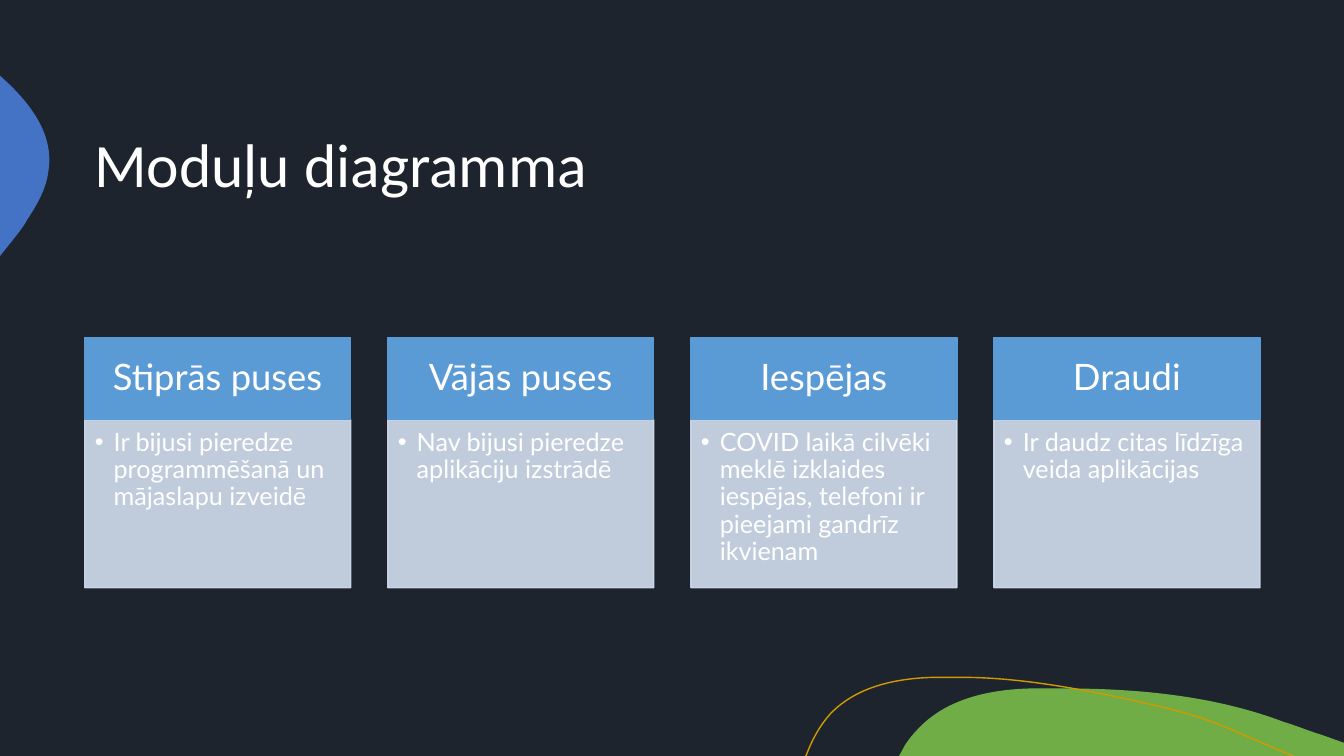
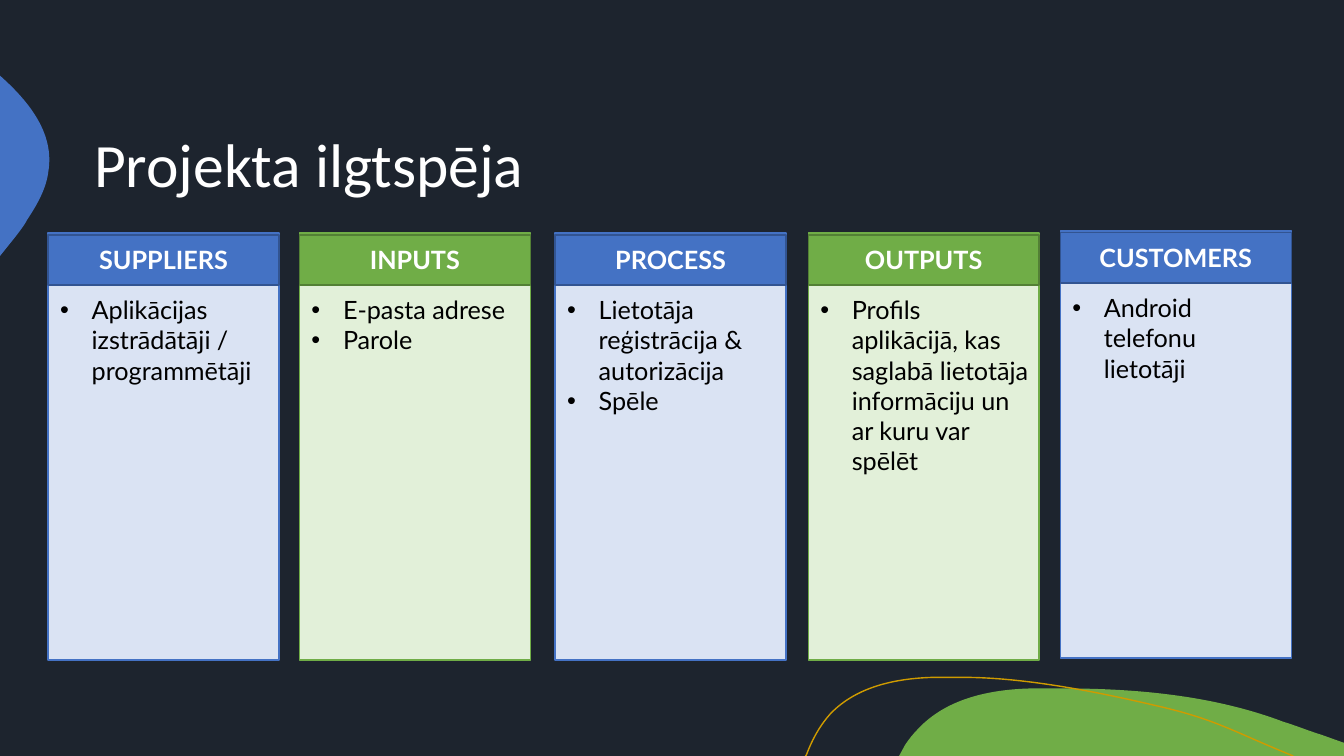
"""Build two dark slides: a strengths and weaknesses grid and a process board."""
import dataclasses
from typing import Optional

import lxml.etree
import pptx
import pptx.dml.color
import pptx.enum.shapes
import pptx.enum.text
import pptx.oxml.ns
import pptx.util

Align = pptx.enum.text.PP_ALIGN
Anchor = pptx.enum.text.MSO_ANCHOR
Point = tuple[float, float]
Sides = tuple[float, float, float, float]
COLUMNS, ROWS = 160, 90
MODULE = pptx.util.Inches(13.333) // COLUMNS


@dataclasses.dataclass(frozen=True)
class Theme:
    """Colours, fonts and type sizes of the deck."""
    night: str = "1D242E"
    white: str = "FFFFFF"
    black: str = "000000"
    gold: str = "CF9B00"
    blue: str = "4472C4"
    blue_edge: str = "325491"
    blue_tint: str = "DAE3F3"
    green: str = "70AD47"
    green_edge: str = "538035"
    green_tint: str = "E2F0D9"
    sky: str = "5B9BD5"
    sky_tint: str = "D2DEEF"
    title_font: str = "Calibri"
    text_font: str = "Lato"
    title_size: int = 44
    heading_size: int = 26
    text_size: int = 18
    line_width: int = 1


THEME = Theme()
SNUG = (1.2, 0.6, 1.2, 0.6)


@dataclasses.dataclass(frozen=True)
class TextStyle:
    """Type and paragraph settings, with insets and indent in grid modules."""
    size: int
    color: str
    insets: Sides = SNUG
    font: str = THEME.text_font
    bold: bool = False
    align: Align = Align.LEFT
    anchor: Anchor = Anchor.TOP
    spacing: float = 1.0
    indent: float = 0
    grow: bool = False


@dataclasses.dataclass(frozen=True)
class Palette:
    """Colours of a column's heading and body."""
    heading: str
    heading_edge: str
    body: str
    body_edge: str
    body_opacity: int = 100


@dataclasses.dataclass(frozen=True)
class Column:
    """One headed list, with its shift from the even grid."""
    heading: str
    items: tuple[str, ...]
    palette: Palette
    shift: Point = (0, 0)
    text_rows: float = 20


@dataclasses.dataclass(frozen=True)
class Board:
    """Row of columns in grid modules, with text margins around each part."""
    left: float
    right: float
    column_width: float
    heading_top: float
    heading_rows: float
    body_top: float
    body_rows: float
    heading_style: TextStyle
    body_style: TextStyle
    heading_margin: Point = (0, 0)
    body_margin: Point = (0, 0)


@dataclasses.dataclass(frozen=True)
class Wave:
    """Outline whose segments hold one point for a line and three for a curve."""
    start: Point
    segments: tuple[tuple[Point, ...], ...]
    fill: Optional[str] = None
    line: Optional[str] = None


TITLE_STYLE = TextStyle(THEME.title_size, THEME.white, font=THEME.title_font,
                        anchor=Anchor.MIDDLE, spacing=0.9)

SWOT_BOARD = Board(
    10.08, 150, 31.68, 40.2, 9.76, 49.96, 20,
    TextStyle(THEME.heading_size, THEME.white, (2.4, 1.44, 2.4, 1.44),
              align=Align.CENTER, anchor=Anchor.MIDDLE, spacing=0.9),
    TextStyle(THEME.text_size, THEME.white, (1.2, 1.2, 1.68, 1.92),
              spacing=0.9, indent=2.25))

SIPOC_BOARD = Board(
    5.72, 153.72, 27.5, 27.96, 6, 27.72, 50.88,
    TextStyle(THEME.text_size, THEME.white, bold=True, align=Align.CENTER, grow=True),
    TextStyle(THEME.text_size, THEME.black, indent=3.75, grow=True),
    heading_margin=(-0.24, 0.58), body_margin=(0.24, 6.74))

SKY = Palette(THEME.sky, THEME.sky, THEME.sky_tint, THEME.sky_tint, 90)
BLUE = Palette(THEME.blue, THEME.blue_edge, THEME.blue_tint, THEME.blue)
GREEN = Palette(THEME.green, THEME.green_edge, THEME.green_tint, THEME.green)

SWOT = (
    Column("Stiprās puses", ("Ir bijusi pieredze programmēšanā un mājaslapu izveidē",), SKY),
    Column("Vājās puses", ("Nav bijusi pieredze aplikāciju izstrādē",), SKY),
    Column("Iespējas", ("COVID laikā cilvēki meklē izklaides iespējas, telefoni ir "
                        "pieejami gandrīz ikvienam",), SKY),
    Column("Draudi", ("Ir daudz citas līdzīga veida aplikācijas",), SKY),
)

SIPOC = (
    Column("SUPPLIERS", ("Aplikācijas izstrādātāji / programmētāji",), BLUE,
           text_rows=12.12),
    Column("INPUTS", ("E-pasta adrese", "Parole"), GREEN, (-0.2, 0), 8.48),
    Column("PROCESS", ("Lietotāja reģistrācija & autorizācija", "Spēle"), BLUE,
           (0.12, 0), 15.76),
    Column("OUTPUTS", ("Profils aplikācijā, kas saglabā lietotāja informāciju un ar kuru "
                       "var spēlēt",), GREEN, (0.12, 0), 26.64),
    Column("CUSTOMERS", ("Android telefonu lietotāji",), BLUE, (0, -0.24), 12.12),
)

WAVES = (
    Wave((126.48, 81.96), (
        ((135.36, 81.96), (144.48, 82.8), (152.76, 85.92)),
        ((154.32, 86.4), (155.76, 87), (157.32, 87.48)),
        ((160, 88.44),), ((160, 90),), ((107.04, 90),), ((107.76, 88.68),),
        ((108.24, 87.96), (108.72, 87.36), (109.32, 86.76)),
        ((112.68, 83.16), (117.84, 82.08), (122.76, 81.96)),
        ((123.96, 81.96), (125.16, 81.96), (126.48, 81.96))), fill=THEME.green),
    Wave((0, 9), (
        ((0.12, 9.12),),
        ((3.6, 12.24), (6.48, 15.96), (5.76, 20.4)),
        ((5.52, 22.44), (4.44, 24.36), (3.24, 26.16)),
        ((2.88, 26.88), (2.04, 27.96), (0.96, 29.28)),
        ((0, 30.48),)), fill=THEME.blue),
    Wave((95.88, 90), (
        ((96, 89.88),),
        ((96.72, 87.96), (97.68, 86.28), (98.88, 84.96)),
        ((102, 81.72), (106.68, 80.76), (111.12, 80.64)),
        ((114.6, 80.64),),
        ((122.64, 80.64), (132, 82.68), (138.6, 84.24)),
        ((145.08, 85.8), (147.12, 87.24), (153.96, 90))), line=THEME.gold),
)


def modules(count: float) -> int:
    """Convert grid modules to EMU."""
    return round(count * MODULE)


def rgb(color: str) -> pptx.dml.color.RGBColor:
    """Read a hex colour."""
    return pptx.dml.color.RGBColor.from_string(color)


def paint(shape, fill: Optional[str], line: Optional[str], opacity: int = 100) -> None:
    """Set fill, line and opacity, and drop the shadow."""
    shape.shadow.inherit = False
    for target, color in ((shape.fill, fill), (shape.line.fill, line)):
        if color is None:
            target.background()
        else:
            target.solid()
            target.fore_color.rgb = rgb(color)
    if line:
        shape.line.width = pptx.util.Pt(THEME.line_width)
    if opacity < 100:
        for color_node in shape.element.spPr.iter(pptx.oxml.ns.qn("a:srgbClr")):
            lxml.etree.SubElement(color_node, pptx.oxml.ns.qn("a:alpha"),
                                  val=str(opacity * 1000))


def add_bullet(paragraph, indent: float) -> None:
    """Give a paragraph a hanging bullet."""
    properties = paragraph._p.get_or_add_pPr()
    properties.set("marL", str(modules(indent)))
    properties.set("indent", str(-modules(indent)))
    lxml.etree.SubElement(properties, pptx.oxml.ns.qn("a:buFont"), typeface="Arial")
    lxml.etree.SubElement(properties, pptx.oxml.ns.qn("a:buChar"), char="•")


def add_text(slide, place: Sides, lines: tuple[str, ...], style: TextStyle) -> None:
    """Add a text box with paragraphs in one style."""
    frame = slide.shapes.add_textbox(*map(modules, place)).text_frame
    frame.word_wrap = True
    frame.vertical_anchor = style.anchor
    if style.grow:
        frame.auto_size = pptx.enum.text.MSO_AUTO_SIZE.SHAPE_TO_FIT_TEXT
    (frame.margin_left, frame.margin_top,
     frame.margin_right, frame.margin_bottom) = map(modules, style.insets)
    for index, line in enumerate(lines):
        paragraph = frame.add_paragraph() if index else frame.paragraphs[0]
        paragraph.alignment = style.align
        paragraph.line_spacing = style.spacing
        if style.indent:
            add_bullet(paragraph, style.indent)
        run = paragraph.add_run()
        run.text = line
        run.font.name = style.font
        run.font.size = pptx.util.Pt(style.size)
        run.font.bold = style.bold
        run.font.color.rgb = rgb(style.color)


def add_wave(slide, wave: Wave) -> None:
    """Draw one decorative outline and bend its curved segments."""
    builder = slide.shapes.build_freeform(*map(modules, wave.start))
    builder.add_line_segments([tuple(map(modules, segment[-1])) for segment in wave.segments],
                              close=wave.fill is not None)
    shape = builder.convert_to_shape()
    sides = list(shape.element.iter(pptx.oxml.ns.qn("a:lnTo")))
    for side, segment in zip(sides, wave.segments):
        if len(segment) == 3:
            side.tag = pptx.oxml.ns.qn("a:cubicBezTo")
            for position, (x, y) in enumerate(segment[:2]):
                control = lxml.etree.Element(
                    pptx.oxml.ns.qn("a:pt"),
                    x=str(modules(x) - shape.left), y=str(modules(y) - shape.top))
                side.insert(position, control)
    paint(shape, wave.fill, wave.line)


def add_panel(slide, place: Sides, fill: str, line: str, opacity: int = 100) -> None:
    """Draw a plain rectangle."""
    panel = slide.shapes.add_shape(pptx.enum.shapes.MSO_SHAPE.RECTANGLE,
                                   *map(modules, place))
    paint(panel, fill, line, opacity)


def add_board(slide, board: Board, columns: tuple[Column, ...]) -> None:
    """Spread columns over a board."""
    step = (board.right - board.left - board.column_width) / (len(columns) - 1)
    width = board.column_width
    for index, column in enumerate(columns):
        palette = column.palette
        left = board.left + index * step + column.shift[0]
        heading_top = board.heading_top + column.shift[1]
        body_top = board.body_top + column.shift[1]
        add_panel(slide, (left, body_top, width, board.body_rows),
                  palette.body, palette.body_edge, palette.body_opacity)
        add_panel(slide, (left, heading_top, width, board.heading_rows),
                  palette.heading, palette.heading_edge)
        side, above = board.body_margin
        add_text(slide, (left + side, body_top + above, width, column.text_rows),
                 column.items, board.body_style)
        side, above = board.heading_margin
        add_text(slide, (left + side, heading_top + above, width - 2 * side,
                         board.heading_rows - 2 * above),
                 (column.heading,), board.heading_style)


def add_slide(deck, title: str, board: Board, columns: tuple[Column, ...]) -> None:
    """Add a slide with waves, a title and a board."""
    slide = deck.slides.add_slide(deck.slide_layouts[6])
    for wave in WAVES:
        add_wave(slide, wave)
    add_text(slide, (10, 10, 140, 20), (title,), TITLE_STYLE)
    add_board(slide, board, columns)


def main() -> None:
    """Build and save the deck."""
    deck = pptx.Presentation()
    deck.slide_width, deck.slide_height = modules(COLUMNS), modules(ROWS)
    backdrop = deck.slide_master.background.fill
    backdrop.solid()
    backdrop.fore_color.rgb = rgb(THEME.night)
    add_slide(deck, "Moduļu diagramma", SWOT_BOARD, SWOT)
    add_slide(deck, "Projekta ilgtspēja", SIPOC_BOARD, SIPOC)
    deck.save("out.pptx")


main()
